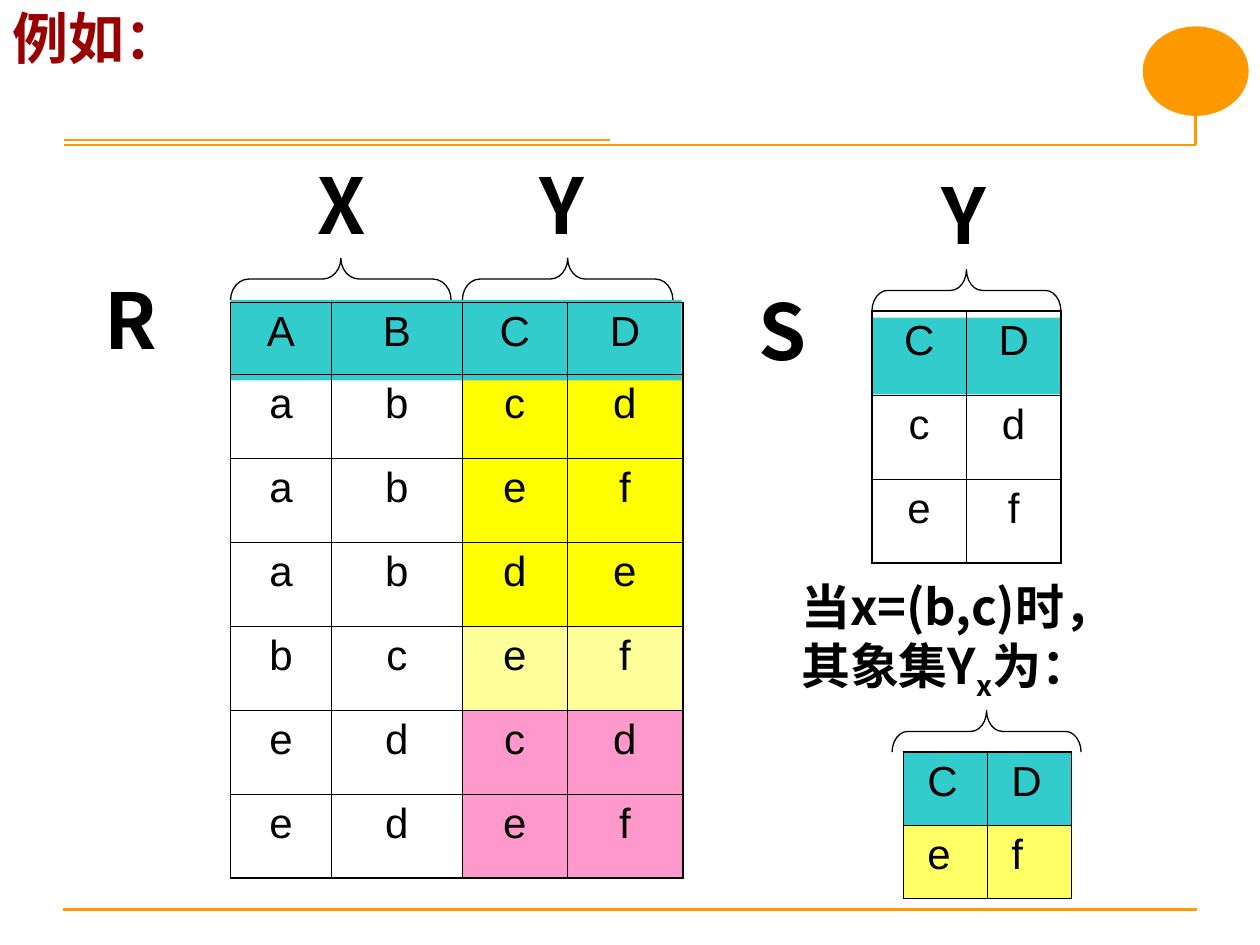
from lxml.etree import SubElement
from pptx import Presentation
from pptx.dml.color import RGBColor
from pptx.enum.shapes import MSO_CONNECTOR, MSO_SHAPE
from pptx.enum.text import PP_ALIGN
from pptx.oxml.ns import qn
from pptx.util import Inches, Pt

HEADING_FONT = "Noto Sans CJK SC"
ORANGE, TEAL, BLACK = "FF9900", "33CCCC", "000000"

RULES = [
    (0.5, 7.22, 9.5, 7.22),
    (0.51, 1.15, 9.49, 1.15),
    (9.49, 0.28, 9.49, 1.15),
    (0.51, 1.11, 4.84, 1.11),
]
BADGE = (9.07, 0.21, 0.84, 0.71)
BANDS = [
    (3.67, 5.64, 1.75, 1.33, "FF99CC"),
    (3.67, 4.97, 1.75, 0.67, "FFFF99"),
    (3.67, 2.97, 1.75, 2, "FFFF00"),
    (1.83, 2.38, 3.58, 0.64, TEAL),
    (6.92, 2.52, 1.5, 0.61, TEAL),
]
TABLES = [
    {"at": (1.83, 2.4), "columns": [0.8, 1.04, 0.83, 0.92],
     "heights": [0.57] + [2 / 3] * 6, "fills": [None] * 7,
     "rows": ["ABCD", "abcd", "abef", "abde", "bcef", "edcd", "edef"],
     "align": PP_ALIGN.CENTER, "inset": 0.1},
    {"at": (6.92, 2.47), "columns": [0.75] * 2,
     "heights": [2 / 3] * 3, "fills": [None] * 3,
     "rows": ["CD", "cd", "ef"],
     "align": PP_ALIGN.CENTER, "inset": 0.1},
    {"at": (7.17, 5.97), "columns": [2 / 3] * 2,
     "heights": [0.58] * 2, "fills": [TEAL, "FFFF66"],
     "rows": ["CD", "ef"],
     "align": PP_ALIGN.LEFT, "inset": 0.19},
]
BRACES = [(1.83, 2.05, 1.75), (3.67, 2.05, 1.67), (6.92, 2.14, 1.5), (7.08, 5.64, 1.5)]
BRACE_DEPTH = 0.33
LABELS = [("R", 0.58, 2.14), ("S", 5.75, 2.22), ("X", 2.25, 1.22),
          ("Y", 4, 1.22), ("Y", 7.19, 1.3)]
CAPTION = [("当x=(b,c)时，其象集Y", None), ("x", "-25000"), ("为：", None)]


def color(value):
    """Turn a hex string into a colour."""
    return RGBColor.from_string(value)


def add_span(para, text, size, font="Arial", tint=BLACK, bold=False):
    """Add one formatted run to a paragraph."""
    span = para.add_run()
    span.text = text
    for name, value in {"size": Pt(size), "name": font, "bold": bold}.items():
        setattr(span.font, name, value)
    span.font.color.rgb = color(tint)
    SubElement(span.font._element, qn("a:ea")).set("typeface", font)
    return span


def add_rule(page, x1, y1, x2, y2):
    """Draw one orange line."""
    rule = page.shapes.add_connector(
        MSO_CONNECTOR.STRAIGHT, *map(Inches, (x1, y1, x2, y2)))
    rule.line.color.rgb = color(ORANGE)
    rule.line.width = Pt(1.5)
    SubElement(rule._element.spPr, qn("a:effectLst"))


def add_figure(page, kind, at, fill=None, line_width=None):
    """Add a preset shape with an optional fill and black outline."""
    figure = page.shapes.add_shape(kind, *map(Inches, at))
    figure.shadow.inherit = False
    if fill:
        figure.fill.solid()
        figure.fill.fore_color.rgb = color(fill)
    else:
        figure.fill.background()
    if line_width:
        figure.line.color.rgb = color(BLACK)
        figure.line.width = Pt(line_width)
    else:
        figure.line.fill.background()
    return figure


def add_heading(page, spans, at, size, tint=BLACK, align=PP_ALIGN.LEFT):
    """Add a bold text box whose spans may be shifted off the baseline."""
    box = page.shapes.add_textbox(*map(Inches, at))
    frame = box.text_frame
    frame.word_wrap = True
    frame.margin_top = Inches(round(0.05 + 0.1 * size / 72, 2))
    para = frame.paragraphs[0]
    para.alignment = align
    para.line_spacing = 0.9
    for text, baseline in spans:
        span = add_span(para, text, size, HEADING_FONT, tint, True)
        if baseline:
            span.font._element.set("baseline", baseline)
    return box


def add_border(cell, side, width):
    """Draw one black border of a table cell."""
    border = SubElement(cell._tc.get_or_add_tcPr(), qn(f"a:ln{side}"), w=str(Pt(width)))
    fill = SubElement(border, qn("a:solidFill"))
    SubElement(fill, qn("a:srgbClr"), val=BLACK)


def add_relation(page, data):
    """Add one relation as a table with a heavier outer frame."""
    rows, columns, heights = data["rows"], data["columns"], data["heights"]
    size = (sum(columns), sum(heights))
    table = page.shapes.add_table(
        len(rows), len(columns), *map(Inches, data["at"] + size)).table
    table.first_row = table.horz_banding = False
    for column, width in zip(table.columns, columns):
        column.width = Inches(width)
    for i, (letters, height, fill) in enumerate(zip(rows, heights, data["fills"])):
        table.rows[i].height = Inches(height)
        for j, letter in enumerate(letters):
            cell = table.cell(i, j)
            outer = {"L": j == 0, "R": j == len(columns) - 1,
                     "T": i == 0, "B": i == len(rows) - 1}
            for side, heavy in outer.items():
                add_border(cell, side, 1.08 if heavy else 0.45)
            if fill:
                cell.fill.solid()
                cell.fill.fore_color.rgb = color(fill)
            else:
                cell.fill.background()
            cell.margin_left = Inches(data["inset"])
            para = cell.text_frame.paragraphs[0]
            para.alignment = data["align"]
            add_span(para, letter, 24)


def add_brace(page, left, top, length):
    """Add a brace that opens downward over a span of columns."""
    at = (left + (length - BRACE_DEPTH) / 2, top - (length - BRACE_DEPTH) / 2,
          BRACE_DEPTH, length)
    brace = add_figure(page, MSO_SHAPE.LEFT_BRACE, at, line_width=0.75)
    brace.rotation = 90
    brace.adjustments[0] = length / (12 * BRACE_DEPTH)


def main():
    """Build the slide and save it."""
    deck = Presentation()
    deck.slide_width, deck.slide_height = Inches(10), Inches(7.5)
    page = deck.slides.add_slide(deck.slide_layouts[6])
    for rule in RULES:
        add_rule(page, *rule)
    add_figure(page, MSO_SHAPE.OVAL, BADGE, ORANGE)

    title = add_heading(page, [("例如：", None)], (0, 0, 2.4, 0.83), 32, "990000")
    title.fill.solid()
    title.fill.fore_color.rgb = color("FFFFFF")
    for *at, fill in BANDS:
        add_figure(page, MSO_SHAPE.RECTANGLE, at, fill)
    for data in TABLES:
        add_relation(page, data)
    for text, left, top in LABELS:
        add_heading(page, [(text, None)], (left, top, 0.92, 0.84), 44,
                    align=PP_ALIGN.CENTER)
    add_heading(page, CAPTION, (6.26, 4.54, 2.92, 1.1), 28)
    for brace in BRACES:
        add_brace(page, *brace)
    deck.save("out.pptx")


if __name__ == "__main__":
    main()
